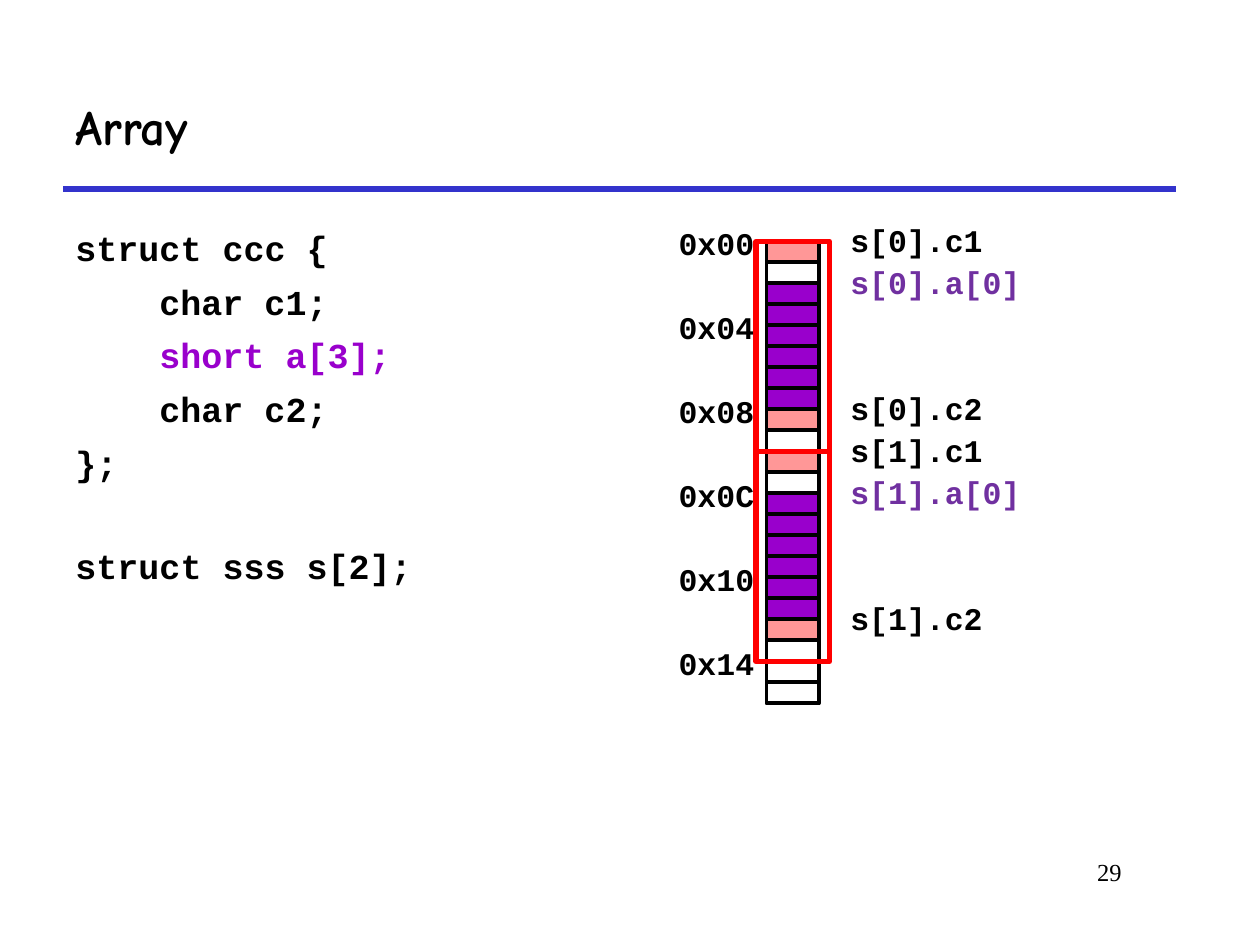
from dataclasses import dataclass

from lxml.etree import SubElement
from pptx import Presentation
from pptx.dml.color import RGBColor
from pptx.enum.shapes import MSO_CONNECTOR, MSO_SHAPE
from pptx.enum.text import MSO_ANCHOR, PP_ALIGN
from pptx.oxml.ns import qn
from pptx.util import Inches, Pt


@dataclass(frozen=True)
class Theme:
    """Colours, fonts and type sizes of the slide."""

    ink: str = "000000"
    rule: str = "3333CC"
    char_fill: str = "FF9797"
    array_fill: str = "9900CC"
    array_label: str = "7030A0"
    frame: str = "FF0000"
    title_font: str = "Comic Neue"
    code_font: str = "Courier New"
    number_font: str = "Times New Roman"
    title_size: int = 28
    code_size: int = 20
    label_size: int = 18
    number_size: int = 14


THEME = Theme()
GRID_PER_INCH = 12
MEMORY_TOP = 23
MEMORY_LEFT = 73
CELL_WIDTH = 5
CELL_HEIGHT = 2
STRUCT_BYTES = 10
ARRAY_BYTES = range(2, 8)
MEMORY_BYTES = 22
LABEL_HEIGHT = 4.8


def grid(*steps):
    """Turn grid columns or rows into lengths."""
    return [Inches(step / GRID_PER_INCH) for step in steps]


def byte_top(index):
    """Return the grid row where a memory byte starts."""
    return MEMORY_TOP + index * CELL_HEIGHT


def add_text_frame(slide, box, anchor=MSO_ANCHOR.TOP):
    """Add a wrapping text box and return its text frame."""
    frame = slide.shapes.add_textbox(*grid(*box)).text_frame
    frame.word_wrap = True
    frame.vertical_anchor = anchor
    return frame


def write_run(paragraph, text, font, size, color=THEME.ink, bold=True):
    """Append one styled run to a paragraph."""
    run = paragraph.add_run()
    run.text = text
    run.font.name = font
    run.font.size = Pt(size)
    run.font.bold = bold
    run.font.color.rgb = RGBColor.from_string(color)


def add_box(shapes, box, line_color, line_width, fill=None):
    """Add an outlined rectangle with an optional fill."""
    shape = shapes.add_shape(MSO_SHAPE.RECTANGLE, *grid(*box))
    shape.shadow.inherit = False
    if fill:
        shape.fill.solid()
        shape.fill.fore_color.rgb = RGBColor.from_string(fill)
    else:
        shape.fill.background()
    shape.line.color.rgb = RGBColor.from_string(line_color)
    shape.line.width = Pt(line_width)


def add_cell(shapes, index, fill=None):
    """Add one byte of the memory column."""
    box = (MEMORY_LEFT, byte_top(index), CELL_WIDTH, CELL_HEIGHT)
    add_box(shapes, box, THEME.ink, 2.25, fill)


def add_label(slide, left, top, width, text, color=THEME.ink, align=PP_ALIGN.LEFT):
    """Add a label beside the memory column."""
    frame = add_text_frame(slide, (left, top, width, LABEL_HEIGHT))
    paragraph = frame.paragraphs[0]
    paragraph.alignment = align
    paragraph.space_before = Pt(4.5)
    write_run(paragraph, text, THEME.code_font, THEME.label_size, color)


def add_heading(slide):
    """Add the title and the rule below it."""
    connector = slide.shapes.add_connector(MSO_CONNECTOR.STRAIGHT, *grid(6, 18, 112, 18))
    connector.line.color.rgb = RGBColor.from_string(THEME.rule)
    connector.line.width = Pt(3)
    SubElement(connector._element.spPr, qn("a:effectLst"))
    frame = add_text_frame(slide, (6, 6, 106, 12), MSO_ANCHOR.MIDDLE)
    write_run(frame.paragraphs[0], "Array", THEME.title_font, THEME.title_size)


def add_page_number(slide):
    """Add the page number at the lower right."""
    paragraph = add_text_frame(slide, (91, 81, 17, 6)).paragraphs[0]
    paragraph.alignment = PP_ALIGN.RIGHT
    write_run(paragraph, "29", THEME.number_font, THEME.number_size, bold=False)


def add_code(slide):
    """Add the struct declaration, with members indented."""
    lines = [
        ("struct ccc {", 0, 5, THEME.ink),
        ("char c1;", 8, 6.6, THEME.ink),
        ("short a[3];", 8, 6.6, THEME.array_fill),
        ("char c2;", 8, 6.6, THEME.ink),
        ("};", 0, 6.6, THEME.ink),
        ("struct sss s[2];", 0, 35, THEME.ink),
    ]
    frame = add_text_frame(slide, (6, 21, 40, 51))
    for number, (text, indent, space, color) in enumerate(lines):
        paragraph = frame.add_paragraph() if number else frame.paragraphs[0]
        paragraph.space_before = Pt(space)
        paragraph._p.get_or_add_pPr().set("marL", str(grid(indent)[0]))
        write_run(paragraph, text, THEME.code_font, THEME.code_size, color)


def add_struct(slide, number):
    """Add the bytes and member labels of one array element."""
    first = number * STRUCT_BYTES
    last_char = ARRAY_BYTES.stop
    fills = {0: THEME.char_fill, last_char: THEME.char_fill}
    for offset in range(STRUCT_BYTES):
        if offset not in ARRAY_BYTES:
            add_cell(slide.shapes, first + offset, fills.get(offset))
    array_group = slide.shapes.add_group_shape()
    for offset in ARRAY_BYTES:
        add_cell(array_group.shapes, first + offset, THEME.array_fill)
    members = [
        ("c1", 0, 18, THEME.ink),
        ("a[0]", ARRAY_BYTES.start, 23, THEME.array_label),
        ("c2", last_char, 18, THEME.ink),
    ]
    for member, offset, width, color in members:
        top = byte_top(first + offset) - 2.5
        add_label(slide, MEMORY_LEFT + CELL_WIDTH, top, width, f" s[{number}].{member}", color)


def add_memory(slide):
    """Add the memory column, its addresses and the struct frames."""
    for index in range(2 * STRUCT_BYTES, MEMORY_BYTES):
        add_cell(slide.shapes, index)
    for address in range(0, MEMORY_BYTES, 4):
        top = byte_top(address) - 2.25
        add_label(slide, 63, top, 10, f"0x{address:02X}", align=PP_ALIGN.RIGHT)
    for number in range(2):
        add_struct(slide, number)
    for number in range(2):
        box = (72, byte_top(number * STRUCT_BYTES), 7, STRUCT_BYTES * CELL_HEIGHT)
        add_box(slide.shapes, box, THEME.frame, 3)


def main():
    """Build and save the slide."""
    presentation = Presentation()
    presentation.slide_width, presentation.slide_height = grid(120, 90)
    slide = presentation.slides.add_slide(presentation.slide_layouts[6])
    add_heading(slide)
    add_page_number(slide)
    add_code(slide)
    add_memory(slide)
    presentation.save("out.pptx")


if __name__ == "__main__":
    main()
